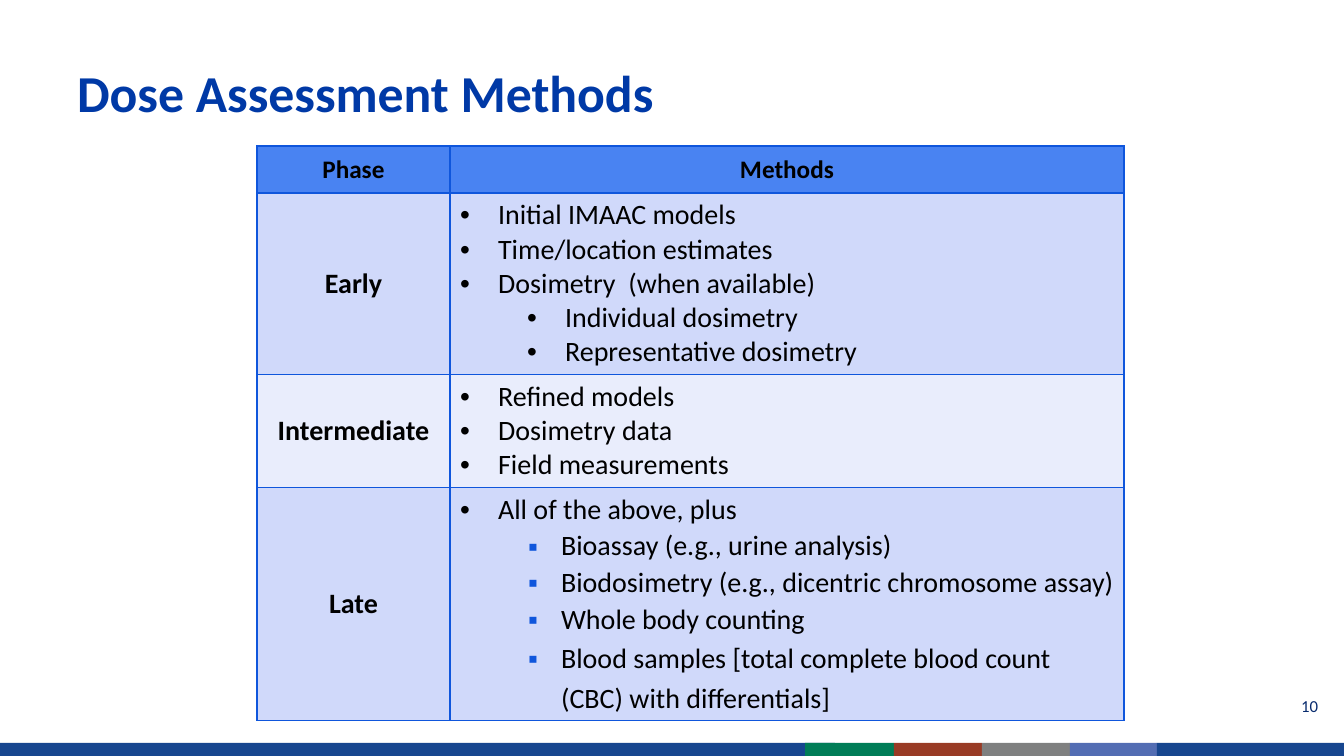
from lxml import etree
from pptx import Presentation, util as u
from pptx.dml.color import RGBColor
from pptx.enum import shapes, text
from pptx.oxml.ns import qn

SCALE = 914400 / 100.8
THEME = {
    "font": "Calibri", "title": "0039A6", "ink": "000000", "number": "082B6E",
    "line": "0F56DC", "head": "4983F2", "dark": "D0D9FA", "light": "E9EDFC",
    "sizes": {"title": 37, "head": 18, "body": 20, "number": 12},
}


def px(n):
    return u.Emu(round(n * SCALE))


def write(para, words, size, color, bold=False):
    run = para.add_run()
    run.text = words
    look = {"name": THEME["font"], "size": u.Pt(THEME["sizes"][size]), "bold": bold}
    for key, value in look.items():
        setattr(run.font, key, value)
    run.font.color.rgb = RGBColor.from_string(THEME[color])


deck = Presentation()
deck.slide_width, deck.slide_height = px(1344), px(756)
slide = deck.slides.add_slide(deck.slide_layouts[5])

# Footer bars: left, width, colour
bars = [(0, 835, "17468F"), (805, 89, "007D57"), (894, 88, "993B25"),
        (982, 88, "7F8080"), (1070, 87, "536DB3"), (1157, 187, "17468F")]
for left, width, color in bars:
    bar = slide.shapes.add_shape(shapes.MSO_SHAPE.RECTANGLE,
                                 px(left), px(743), px(width), px(13))
    bar.shadow.inherit = False
    bar.fill.solid()
    bar.fill.fore_color.rgb = RGBColor.from_string(color)
    bar.line.fill.background()

# Title
title = slide.shapes.title
place = {"left": px(67), "top": px(30), "width": px(1210), "height": px(98)}
for key, value in place.items():
    setattr(title, key, value)
frame = title.text_frame
frame.auto_size = text.MSO_AUTO_SIZE.NONE
frame.vertical_anchor = text.MSO_ANCHOR.BOTTOM
para = frame.paragraphs[0]
para.alignment = text.PP_ALIGN.LEFT
para.line_spacing = u.Pt(40)
write(para, "Dose Assessment Methods", "title", "title", True)

# Bullet kinds: level, text indent, hang, mark, mark colour, line spacing
KINDS = {
    "main": (0, 38, 38, "•", "ink", 1.0),
    "sub": (1, 105, 38, "•", "ink", 1.0),
    "square": (1, 101, 33, "▪", "line", 1.07),
    "loose": (1, 101, 33, "▪", "line", 1.15),
}
phases = [
    ("Early", [("main", "Initial IMAAC models"),
               ("main", "Time/location estimates"),
               ("main", "Dosimetry  (when available)"),
               ("sub", "Individual dosimetry"),
               ("sub", "Representative dosimetry")]),
    ("Intermediate", [("main", "Refined models"),
                      ("main", "Dosimetry data"),
                      ("main", "Field measurements")]),
    ("Late", [("main", "All of the above, plus"),
              ("square", "Bioassay (e.g., urine analysis)"),
              ("square", "Biodosimetry (e.g., dicentric chromosome assay)"),
              ("square", "Whole body counting"),
              ("loose", "Blood samples [total complete blood count (CBC) with differentials]")]),
]

# Table grid
widths, heights = [193, 674], [47, 172, 107, 222]
table = slide.shapes.add_table(4, 2, px(257), px(146),
                               px(sum(widths)), px(sum(heights))).table
for col, width in zip(table.columns, widths):
    col.width = px(width)
for row, height, tint in zip(table.rows, heights, ["head", "dark", "light", "dark"]):
    row.height = px(height)
    for cell in row.cells:
        props = cell._tc.get_or_add_tcPr()
        for side in ("lnL", "lnR", "lnT", "lnB"):
            edge = etree.SubElement(props, qn(f"a:{side}"), w=str(u.Pt(1)))
            fill = etree.SubElement(edge, qn("a:solidFill"))
            etree.SubElement(fill, qn("a:srgbClr"), val=THEME["line"])
        cell.fill.solid()
        cell.fill.fore_color.rgb = RGBColor.from_string(THEME[tint])

# Centred headings
heads = [(0, 0, "Phase", "head"), (0, 1, "Methods", "head")]
heads += [(i, 0, phase, "body") for i, (phase, _) in enumerate(phases, 1)]
for i, j, words, size in heads:
    cell = table.cell(i, j)
    cell.vertical_anchor = text.MSO_ANCHOR.MIDDLE
    para = cell.text_frame.paragraphs[0]
    para.alignment = text.PP_ALIGN.CENTER
    write(para, words, size, "ink", True)

# Bulleted methods
for i, (_, methods) in enumerate(phases, 1):
    frame = table.cell(i, 1).text_frame
    for n, (kind, words) in enumerate(methods):
        level, indent, hang, mark, color, gap = KINDS[kind]
        para = frame.add_paragraph() if n else frame.paragraphs[0]
        para.level = level
        para.line_spacing = gap
        props = para._p.get_or_add_pPr()
        props.set("marL", str(px(indent)))
        props.set("indent", str(-px(hang)))
        tone = etree.SubElement(props, qn("a:buClr"))
        etree.SubElement(tone, qn("a:srgbClr"), val=THEME[color])
        etree.SubElement(props, qn("a:buFont"), typeface="Arial")
        etree.SubElement(props, qn("a:buChar"), char=mark)
        write(para, words, "body", "ink")

# Page number
box = slide.shapes.add_textbox(px(1026), px(686), px(302), px(40))
frame = box.text_frame
frame.word_wrap = True
frame.vertical_anchor = text.MSO_ANCHOR.MIDDLE
para = frame.paragraphs[0]
para.alignment = text.PP_ALIGN.RIGHT
write(para, "10", "number", "number")

deck.save("out.pptx")
